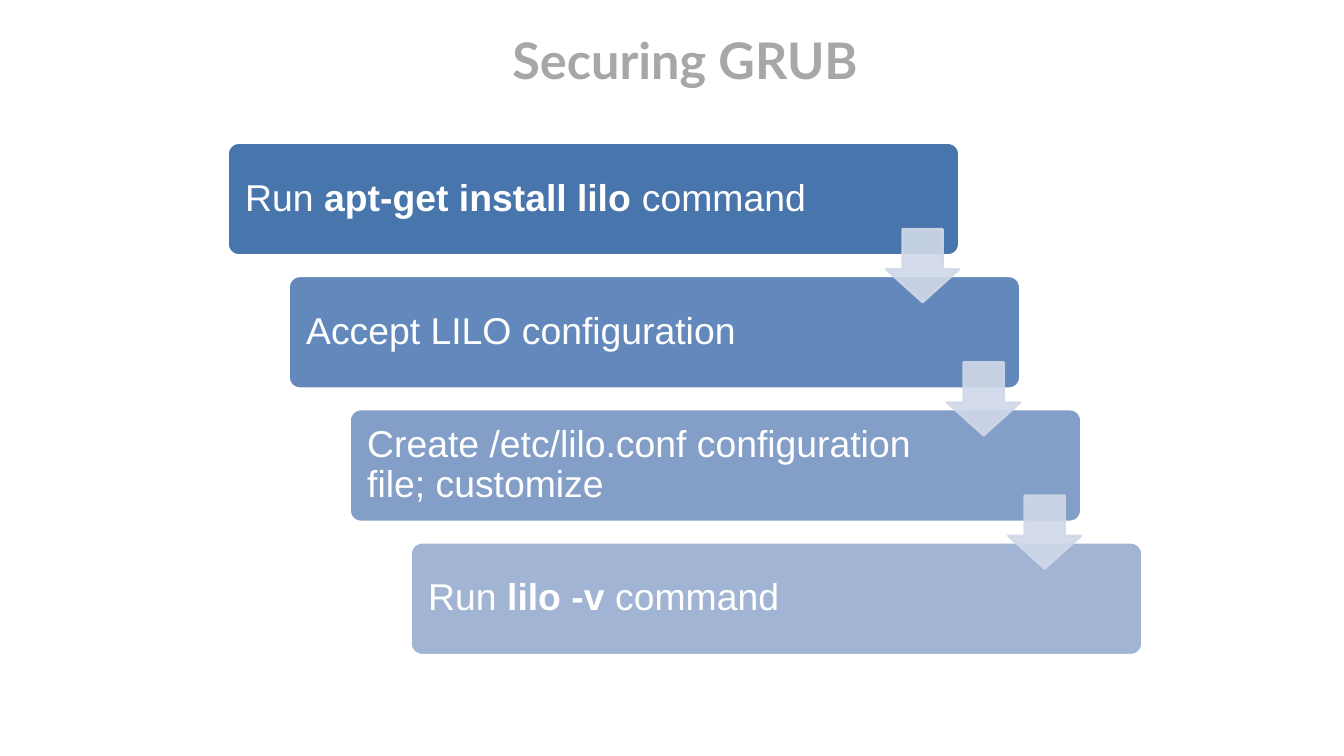
from lxml.etree import SubElement
from pptx import Presentation
from pptx.dml.color import RGBColor
from pptx.enum.shapes import MSO_SHAPE
from pptx.enum.text import MSO_ANCHOR, PP_ALIGN
from pptx.oxml.ns import qn
from pptx.util import Pt

STEP_LEFT, STEP_TOP = 195.12, 122.4
STEP_WIDTH, STEP_HEIGHT = 627.12, 96.48
SHIFT_X, SHIFT_Y = 52.3, 114.2
ARROW_SIZE = 62.64
ARROW_LEFT, ARROW_TOP = 759.5, 196.4
ARROW_COLOR = "D0D8E8"

# Fill colour and (text, bold) runs of each step
STEPS = [
    ("4875AC", [("Run ", False), ("apt-get install lilo ", True), ("command", False)]),
    ("6389BC", [("Accept LILO configuration", False)]),
    ("839EC7", [("Create /etc/lilo.conf configuration file; customize", False)]),
    ("A2B4D4", [("Run ", False), ("lilo -v", True), (" command", False)]),
]


def color(value):
    return RGBColor.from_string(value)


def set_text(shape, runs, *, font, size, text_color, align=PP_ALIGN.LEFT,
             spacing=1.0, insets=(5, 5, 5, 5)):
    frame = shape.text_frame
    frame.word_wrap = True
    frame.vertical_anchor = MSO_ANCHOR.MIDDLE
    (frame.margin_left, frame.margin_top,
     frame.margin_right, frame.margin_bottom) = (Pt(inset) for inset in insets)
    paragraph = frame.paragraphs[0]
    paragraph.alignment = align
    paragraph.line_spacing = spacing
    for text, bold in runs:
        run = paragraph.add_run()
        run.text = text
        run.font.name = font
        run.font.size = Pt(size)
        run.font.bold = bold
        run.font.color.rgb = color(text_color)


def add_block(slide, kind, left, top, width, height, *, fill, line, adjustments):
    shape = slide.shapes.add_shape(kind, Pt(left), Pt(top), Pt(width), Pt(height))
    shape.shadow.inherit = False
    shape.fill.solid()
    shape.fill.fore_color.rgb = color(fill)
    shape.line.color.rgb = color(line)
    shape.line.width = Pt(2)
    for index, value in enumerate(adjustments):
        shape.adjustments[index] = value
    return shape


def add_title(slide, text):
    title = slide.shapes.add_textbox(Pt(195.12), Pt(28.8), Pt(784.08), Pt(44.64))
    set_text(title, [(text, True)], font="Lato", size=43.2, text_color="A7A7A7",
             align=PP_ALIGN.CENTER)


def add_step(slide, index, fill, runs):
    step = add_block(slide, MSO_SHAPE.ROUNDED_RECTANGLE,
                     STEP_LEFT + index * SHIFT_X, STEP_TOP + index * SHIFT_Y,
                     STEP_WIDTH, STEP_HEIGHT,
                     fill=fill, line="FFFFFF", adjustments=[0.1])
    # The wide right inset keeps the text clear of the arrows
    set_text(step, runs, font="Arial", size=32, text_color="FFFFFF",
             spacing=0.9, insets=(12.24, 12, 126, 12))


def add_arrow(slide, index):
    arrow = add_block(slide, MSO_SHAPE.DOWN_ARROW,
                      ARROW_LEFT + index * SHIFT_X, ARROW_TOP + index * SHIFT_Y,
                      ARROW_SIZE, ARROW_SIZE,
                      fill=ARROW_COLOR, line=ARROW_COLOR, adjustments=[0.55, 0.45])
    # Fill and line are both 90% opaque
    for element in arrow.element.spPr.iter(qn("a:srgbClr")):
        SubElement(element, qn("a:alpha"), val="90000")


def main():
    presentation = Presentation()
    presentation.slide_width, presentation.slide_height = Pt(1152), Pt(648)
    slide = presentation.slides.add_slide(presentation.slide_layouts[6])

    add_title(slide, "Securing GRUB")

    # Staircase of steps
    for index, (fill, runs) in enumerate(STEPS):
        add_step(slide, index, fill, runs)

    # Arrows on top, one between each pair of steps
    for index in range(len(STEPS) - 1):
        add_arrow(slide, index)

    presentation.save("out.pptx")


if __name__ == "__main__":
    main()
